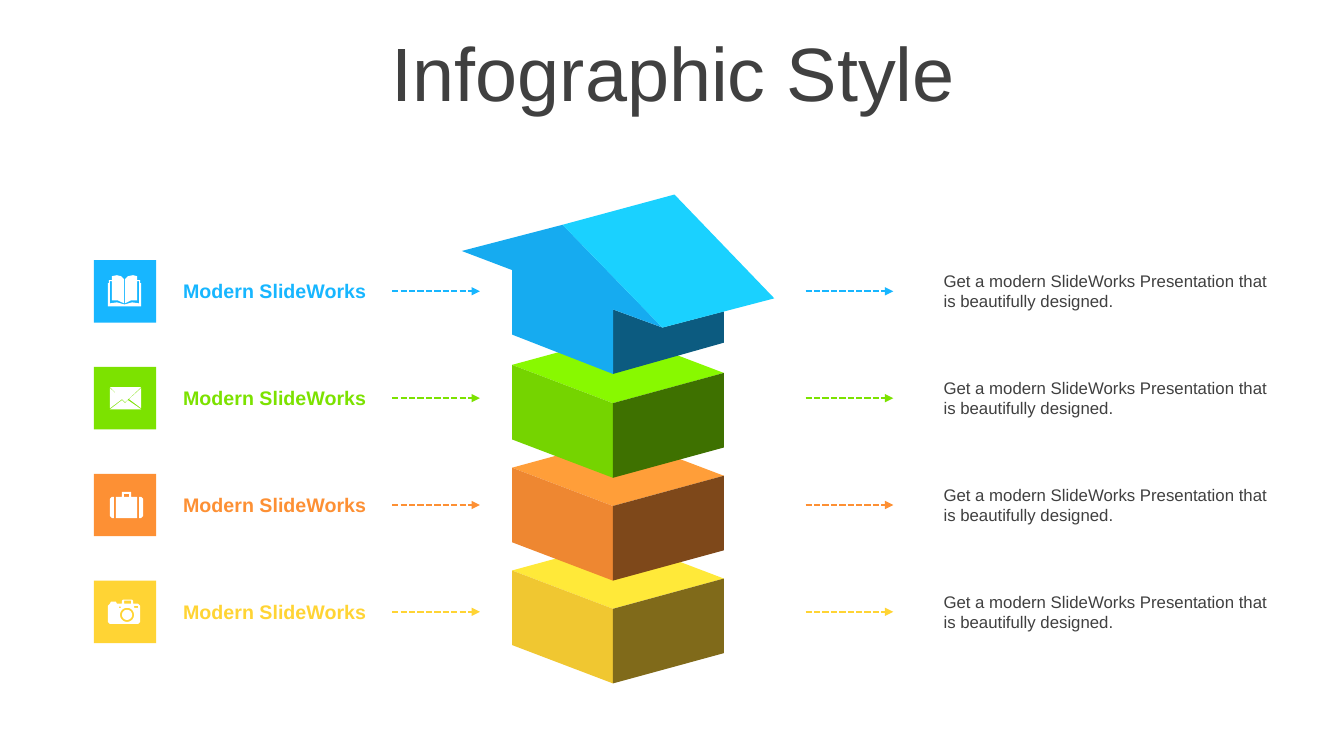
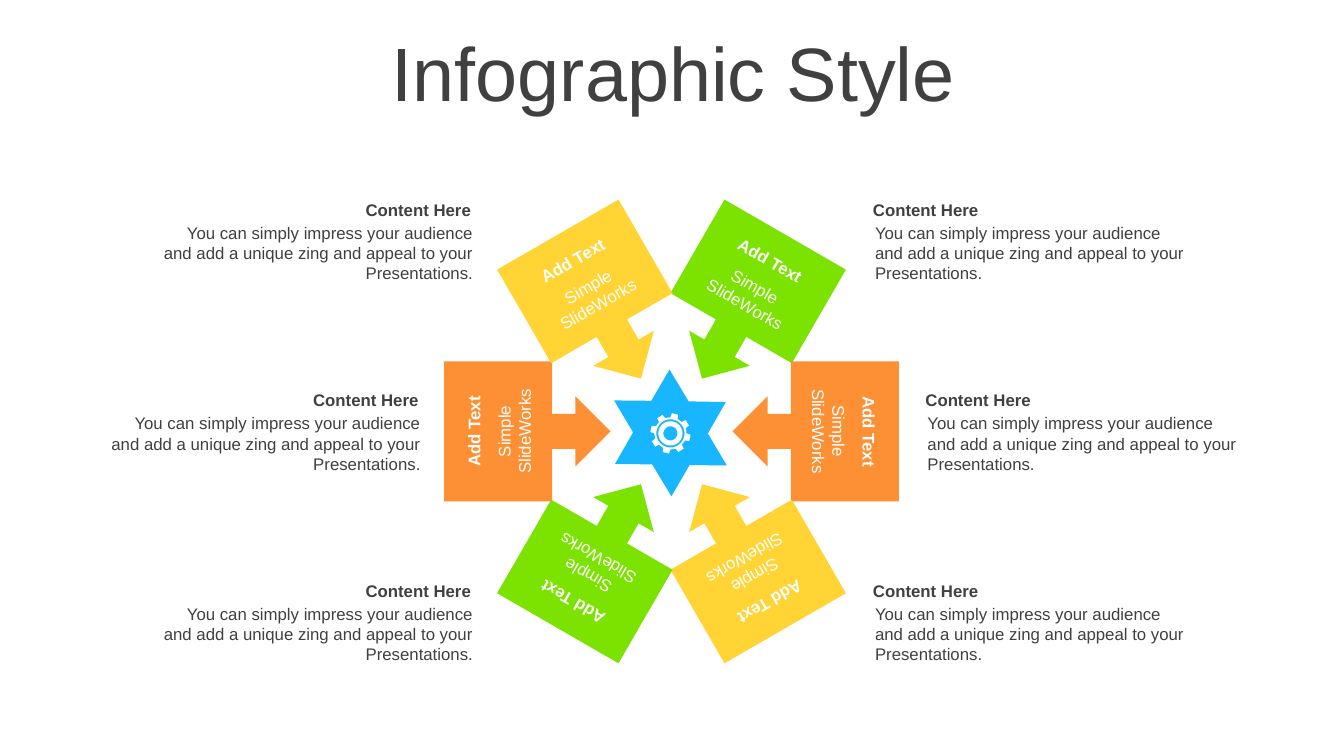
from dataclasses import dataclass
from math import cos, radians, sin
from typing import Any

from lxml.etree import SubElement
from pptx import Presentation
from pptx.dml.color import RGBColor as Rgb
from pptx.enum.dml import MSO_LINE_DASH_STYLE as Dash
from pptx.enum.shapes import MSO_CONNECTOR as Connector
from pptx.enum.shapes import MSO_SHAPE as Shape
from pptx.enum.text import MSO_ANCHOR as Anchor
from pptx.enum.text import PP_ALIGN as Align
from pptx.oxml.ns import qn
from pptx.util import Inches, Pt

Point = tuple[float, float]
Contour = list[Point]


@dataclass(frozen=True)
class Theme:
    font: str = "Arial"
    title_size: int = 54
    label_size: int = 14
    body_size: int = 12
    dark: Rgb = Rgb(0x40, 0x40, 0x40)
    white: Rgb = Rgb(0xFF, 0xFF, 0xFF)
    blue: Rgb = Rgb(0x17, 0xB6, 0xFF)
    green: Rgb = Rgb(0x7C, 0xE2, 0x00)
    orange: Rgb = Rgb(0xFD, 0x90, 0x34)
    yellow: Rgb = Rgb(0xFF, 0xD4, 0x34)
    lit: float = 1.1
    front: float = 0.94
    shaded: float = 0.5


THEME = Theme()


@dataclass(frozen=True)
class Frame:
    left: float
    top: float
    width: float
    height: float
    rotation: float = 0


@dataclass(frozen=True)
class TextStyle:
    size: int = THEME.body_size
    color: Rgb = THEME.dark
    bold: bool = False
    align: Align = Align.LEFT
    anchor: Anchor = Anchor.TOP
    line_spacing: float = 1.0


@dataclass(frozen=True)
class Row:
    color: Rgb
    icon: list[Contour]


@dataclass(frozen=True)
class Note:
    left: float
    top: float
    align: Align


def centered(x: float, y: float, width: float, height: float, rotation: float) -> Frame:
    return Frame(x - width / 2, y - height / 2, width, height, rotation)


def polar(center: Point, radius: float, degrees: float) -> Point:
    """Point at a clockwise angle from the top."""
    angle = radians(degrees)
    return center[0] + radius * sin(angle), center[1] - radius * cos(angle)


def circle(center: Point, radius: float) -> Contour:
    return [polar(center, radius, degrees) for degrees in range(0, 360, 10)]


def box_outline(left: float, top: float, right: float, bottom: float) -> Contour:
    return [(left, top), (right, top), (right, bottom), (left, bottom)]


def mirrored(contour: Contour, axis: float) -> Contour:
    return [(2 * axis - x, y) for x, y in contour]


def shade(color: Rgb, factor: float) -> Rgb:
    return Rgb(*(min(255, round(channel * factor)) for channel in color))


def paint(shape: Any, color: Rgb) -> None:
    shape.shadow.inherit = False
    shape.fill.solid()
    shape.fill.fore_color.rgb = color
    shape.line.fill.background()


def add_preset(page: Any, kind: Shape, frame: Frame, color: Rgb) -> Any:
    sides = (frame.left, frame.top, frame.width, frame.height)
    shape = page.shapes.add_shape(kind, *map(Inches, sides))
    shape.rotation = frame.rotation
    paint(shape, color)
    return shape


def add_outline(page: Any, contours: list[Contour], color: Rgb, origin: Point = (0, 0)) -> None:
    """Draw contours as one shape; an inner contour is a hole."""
    builder = None
    for contour in contours:
        points = [(Inches(origin[0] + x), Inches(origin[1] + y)) for x, y in contour]
        if builder is None:
            builder = page.shapes.build_freeform(*points[0])
        else:
            builder.move_to(*points[0])
        builder.add_line_segments(points[1:], close=True)
    paint(builder.convert_to_shape(), color)


def add_text(page: Any, text: str, frame: Frame, style: TextStyle) -> None:
    sides = (frame.left, frame.top, frame.width, frame.height)
    box = page.shapes.add_textbox(*map(Inches, sides))
    box.rotation = frame.rotation
    box.text_frame.word_wrap = True
    box.text_frame.vertical_anchor = style.anchor
    para = box.text_frame.paragraphs[0]
    para.alignment = style.align
    para.line_spacing = style.line_spacing
    span = para.add_run()
    span.text = text
    span.font.color.rgb = style.color
    formats = {"name": THEME.font, "size": Pt(style.size), "bold": style.bold}
    for name, value in formats.items():
        setattr(span.font, name, value)


def add_arrow(page: Any, left: float, y: float, length: float, color: Rgb) -> None:
    ends = (left, y, left + length, y)
    arrow = page.shapes.add_connector(Connector.STRAIGHT, *map(Inches, ends))
    arrow.line.color.rgb = color
    arrow.line.width = Pt(1.5)
    arrow.line.dash_style = Dash.SQUARE_DOT
    SubElement(arrow.line._get_or_add_ln(), qn("a:tailEnd"), type="triangle")
    SubElement(arrow._element.spPr, qn("a:effectLst"))


def add_page(deck: Any) -> Any:
    """Add a blank page with the shared title."""
    page = deck.slides.add_slide(deck.slide_layouts[6])
    style = TextStyle(THEME.title_size, align=Align.CENTER, anchor=Anchor.MIDDLE, line_spacing=0.9)
    add_text(page, "Infographic Style", Frame(0.35, 0.37, 12.66, 0.79), style)
    return page


# Icon points are measured from the top left corner of the tile.
BOOK = [[
    (0.30, 0.44), (0.31, 0.44), (0.38, 0.42), (0.45, 0.43), (0.45, 0.21), (0.43, 0.21),
    (0.43, 0.40), (0.37, 0.40), (0.31, 0.43), (0.31, 0.19), (0.34, 0.16), (0.39, 0.15),
    (0.43, 0.16), (0.43, 0.20), (0.46, 0.20), (0.46, 0.23), (0.47, 0.23), (0.47, 0.46),
    (0.14, 0.46), (0.14, 0.23), (0.15, 0.23), (0.15, 0.20), (0.18, 0.20), (0.18, 0.16),
    (0.23, 0.15), (0.27, 0.16), (0.30, 0.19), (0.30, 0.43), (0.24, 0.40), (0.18, 0.40),
    (0.18, 0.21), (0.16, 0.21), (0.16, 0.43), (0.23, 0.42),
]]
ENVELOPE_SIDE = [(0.47, 0.21), (0.47, 0.41), (0.35, 0.32)]
ENVELOPE = [
    [(0.16, 0.20), (0.47, 0.20), (0.31, 0.35)],
    [(0.34, 0.33), (0.47, 0.42), (0.16, 0.42), (0.28, 0.33), (0.31, 0.36)],
    ENVELOPE_SIDE,
    mirrored(ENVELOPE_SIDE, 0.315),
]
CASE_SIDE = [(0.45, 0.23), (0.47, 0.23), (0.49, 0.25), (0.49, 0.42), (0.47, 0.44), (0.45, 0.44)]
BRIEFCASE = [
    CASE_SIDE,
    mirrored(CASE_SIDE, 0.325),
    [(0.22, 0.23), (0.28, 0.23), (0.28, 0.18), (0.37, 0.18),
     (0.37, 0.23), (0.43, 0.23), (0.43, 0.44), (0.22, 0.44)],
    box_outline(0.30, 0.20, 0.35, 0.23),
]
LENS = (0.33, 0.34)
CAMERA = [
    [(0.14, 0.25), (0.16, 0.23), (0.17, 0.21), (0.22, 0.21), (0.23, 0.23), (0.28, 0.23),
     (0.28, 0.20), (0.29, 0.19), (0.38, 0.19), (0.39, 0.20), (0.39, 0.23), (0.44, 0.23),
     (0.46, 0.25), (0.46, 0.41), (0.44, 0.43), (0.16, 0.43), (0.14, 0.41)],
    box_outline(0.30, 0.20, 0.37, 0.23),
    box_outline(0.40, 0.25, 0.44, 0.27),
    box_outline(0.25, 0.26, 0.27, 0.27),
    circle(LENS, 0.07),
    circle(LENS, 0.05),
]
ROWS = [
    Row(THEME.blue, BOOK),
    Row(THEME.green, ENVELOPE),
    Row(THEME.orange, BRIEFCASE),
    Row(THEME.yellow, CAMERA),
]


def add_block(page: Any, top: float, color: Rgb) -> None:
    """Draw a block whose left upper corner is at the given height."""
    height = 0.74
    left, front, right, back = (5.08, top), (6.08, top + 0.38), (7.18, top + 0.08), (6.18, top - 0.3)
    add_outline(page, [[left, back, right, front]], shade(color, THEME.lit))
    for side, factor in ((left, THEME.front), (right, THEME.shaded)):
        lower = [(x, y + height) for x, y in (front, side)]
        add_outline(page, [[side, front, *lower]], shade(color, factor))


def add_roof(page: Any, color: Rgb) -> None:
    ridge, eave, notch, foot = (5.58, 2.23), (6.57, 3.25), (6.08, 3.07), (6.08, 3.71)
    faces = [
        ([notch, eave, (7.18, 3.09), (7.18, 3.40), foot], THEME.shaded),
        ([(4.58, 2.49), ridge, eave, notch, foot, (5.08, 3.32), (5.08, 2.68)], THEME.front),
        ([ridge, (6.69, 1.93), (7.68, 2.96), eave], THEME.lit + 0.05),
    ]
    for face, factor in faces:
        add_outline(page, [face], shade(color, factor))


def build_stack_page(deck: Any) -> None:
    page = add_page(deck)
    for index in (2, 1, 0):
        add_block(page, 3.62 + 1.02 * index, ROWS[index + 1].color)
    add_roof(page, THEME.blue)
    tile_left, tile_size = 0.93, 0.62
    for index, row in enumerate(ROWS):
        top = 2.58 + 1.06 * index
        add_preset(page, Shape.RECTANGLE, Frame(tile_left, top, tile_size, tile_size), row.color)
        add_outline(page, row.icon, THEME.white, (tile_left, top))
        label = TextStyle(THEME.label_size, row.color, True, Align.CENTER)
        add_text(page, "Modern SlideWorks", Frame(1.64, top + 0.14, 2.17, 0.34), label)
        for left in (3.89, 7.99):
            add_arrow(page, left, top + tile_size / 2, 0.87, row.color)
        add_text(page, "Get a modern SlideWorks Presentation that is beautifully designed.",
                 Frame(9.26, top + 0.06, 3.51, 0.5), TextStyle())


def gear(center: Point) -> list[Contour]:
    teeth, rim = 8, []
    for tooth in range(teeth):
        middle = 13 + tooth * 360 / teeth
        for radius, offset in ((0.16, -13), (0.2, -9), (0.2, 9), (0.16, 13)):
            rim.append(polar(center, radius, middle + offset))
    return [rim] + [circle(center, radius) for radius in (0.14, 0.12, 0.07)]


def build_ring_page(deck: Any) -> None:
    page = add_page(deck)
    center = (6.66, 4.28)
    for index in range(3):
        inset = 0.52 if index == 1 else 0
        top = 1.93 + 1.89 * index
        for note in (Note(8.56 + inset, top, Align.LEFT), Note(1.49 - inset, top, Align.RIGHT)):
            heading = TextStyle(bold=True, align=note.align, anchor=Anchor.MIDDLE)
            add_text(page, "Content Here", Frame(note.left, note.top, 3.28, 0.3), heading)
            add_text(page, "You can simply impress your audience and add a unique zing "
                     "and appeal to your Presentations.",
                     Frame(note.left + 0.02, note.top + 0.23, 3.28, 0.71), TextStyle(align=note.align))
    star = add_preset(page, Shape.STAR_6_POINT, Frame(6.11, 3.65, 1.08, 1.29, 300), THEME.blue)
    star.adjustments[0] = 0.29
    colors = (THEME.green, THEME.orange, THEME.yellow)
    for index in range(6):
        angle = 30 + 60 * index
        callout = centered(*polar(center, 1.43, angle), 1.39, 1.65, angle)
        add_preset(page, Shape.DOWN_ARROW_CALLOUT, callout, colors[index % 3])
        for text, radius, height, bold in (("Add Text", 1.96, 0.3, True),
                                           ("Simple SlideWorks", 1.56, 0.5, False)):
            style = TextStyle(color=THEME.white, bold=bold, align=Align.CENTER)
            add_text(page, text, centered(*polar(center, radius, angle), 1.37, height, angle), style)
    add_outline(page, gear((6.65, 4.3)), THEME.white)


def main() -> None:
    deck = Presentation()
    deck.slide_width, deck.slide_height = Inches(13.33), Inches(7.5)
    build_stack_page(deck)
    build_ring_page(deck)
    deck.save("out.pptx")


if __name__ == "__main__":
    main()
